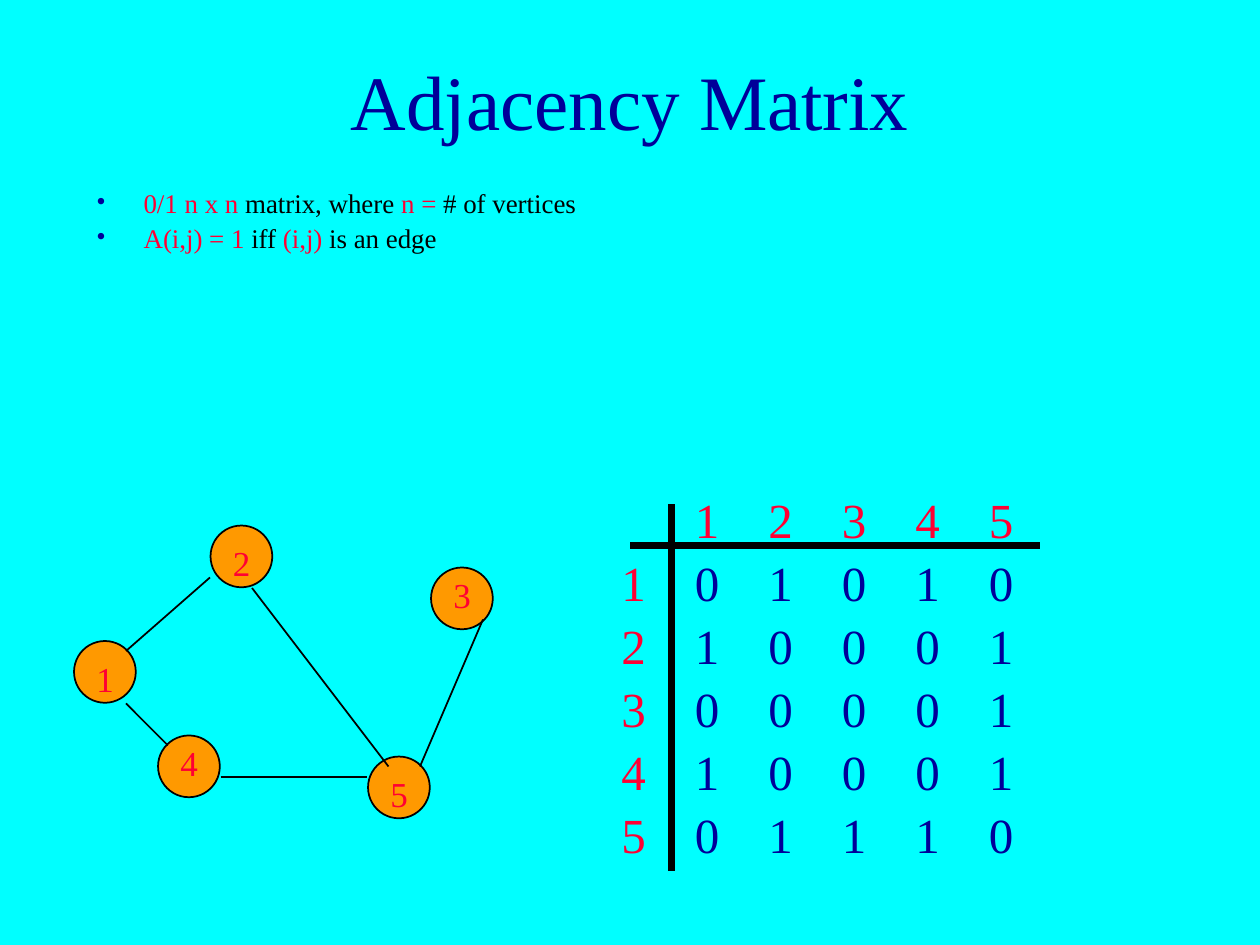
import pptx
import pptx.dml.color
import pptx.enum.shapes
import pptx.enum.text
import pptx.oxml
import pptx.oxml.ns
import pptx.util

Pt = pptx.util.Pt
NAVY, RED, BLACK, ORANGE, CYAN = "000099", "FF0033", "000000", "FF9900", "00FFFF"


def paint(target, color):
    """Give a fill, a line's fill or a font's fill one solid colour."""
    target.solid()
    target.fore_color.rgb = pptx.dml.color.RGBColor.from_string(color)


def add_text(x, y, w, h, paragraphs, size):
    """Add a text box; each paragraph is a list of (text, colour) runs."""
    tf = s.shapes.add_textbox(Pt(x), Pt(y), Pt(w), Pt(h)).text_frame
    tf.word_wrap = True
    for i, runs in enumerate(paragraphs):
        p = tf.paragraphs[0] if i == 0 else tf.add_paragraph()
        for text, color in runs:
            r = p.add_run()
            r.text = text
            r.font.size = Pt(size)
            r.font.name = "Times New Roman"
            paint(r.font.fill, color)
    return tf


prs = pptx.Presentation()
prs.slide_width, prs.slide_height = Pt(720), Pt(540)
s = prs.slides.add_slide(prs.slide_layouts[6])
paint(s.background.fill, CYAN)

# Title and definition
tf = add_text(54, 12, 612, 90, [[("Adjacency Matrix", NAVY)]], 44)
tf.vertical_anchor = pptx.enum.text.MSO_ANCHOR.MIDDLE
tf.paragraphs[0].alignment = pptx.enum.text.PP_ALIGN.CENTER

definition = [
    [("0/1 n x n ", RED), ("matrix, where ", BLACK), ("n = ", RED), ("# of vertices", BLACK)],
    [("A(i,j) = 1", RED), (" iff ", BLACK), ("(i,j)", RED), (" is an edge", BLACK)],
]
tf = add_text(48, 108, 612, 42, definition, 15.4)
ns = pptx.oxml.ns.nsdecls("a")
for p in tf.paragraphs:
    p.line_spacing = 0.7
    p.space_before = Pt(7)
    pPr = p._p.get_or_add_pPr()
    pPr.set("marL", str(Pt(27)))
    pPr.set("indent", str(-Pt(27)))
    for xml in (
        f'<a:buClr {ns}><a:srgbClr val="{NAVY}"/></a:buClr>',
        f'<a:buFont {ns} typeface="Times New Roman"/>',
        f'<a:buChar {ns} char="•"/>',
    ):
        pPr.append(pptx.oxml.parse_xml(xml))

# Graph vertices: circle corner, then label corner
vertices = {
    "1": (42.3, 366.3, 48, 372),
    "2": (120.3, 300.3, 126, 306),
    "3": (246.3, 324.3, 252, 324),
    "4": (90.3, 420.3, 96, 420),
    "5": (210.3, 432.3, 216, 438),
}
for x, y, _, _ in vertices.values():
    sp = s.shapes.add_shape(pptx.enum.shapes.MSO_SHAPE.OVAL, Pt(x), Pt(y), Pt(35.3), Pt(35.3))
    sp.shadow.inherit = False
    paint(sp.fill, ORANGE)
    paint(sp.line.fill, BLACK)
    sp.line.width = Pt(1)

# Graph edges, then the two rules of the matrix
lines = [
    (120, 330, 72, 372, 1),
    (144, 336, 222, 438, 1),
    (72, 402, 96, 426, 1),
    (276, 354, 240, 438, 1),
    (126, 444, 210, 444, 1),
    (360, 312, 594, 312, 4),
    (384, 288, 384, 498, 4),
]
for x1, y1, x2, y2, width in lines:
    line = s.shapes.add_connector(
        pptx.enum.shapes.MSO_CONNECTOR.STRAIGHT, Pt(x1), Pt(y1), Pt(x2), Pt(y2))
    paint(line.line.fill, BLACK)
    line.line.width = Pt(width)
    line._element.spPr.append(pptx.oxml.parse_xml(f"<a:effectLst {ns}/>"))

for label, (_, _, x, y) in vertices.items():
    add_text(x, y, 18, 31, [[(label, RED)]], 20)

# Adjacency matrix with row and column headings
matrix = ["01010", "10001", "00001", "10001", "01110"]
left, top, column_step, row_step = 390, 312, 42, 36
for i, row in enumerate(matrix):
    x, y = left + i * column_step, top + i * row_step
    add_text(x, top - row_step, 36, 41, [[(str(i + 1), RED)]], 28)
    add_text(left - column_step, y, 36, 41, [[(str(i + 1), RED)]], 28)
    for j, value in enumerate(row):
        add_text(left + j * column_step, y, 24, 41, [[(value, NAVY)]], 28)

prs.save("out.pptx")
